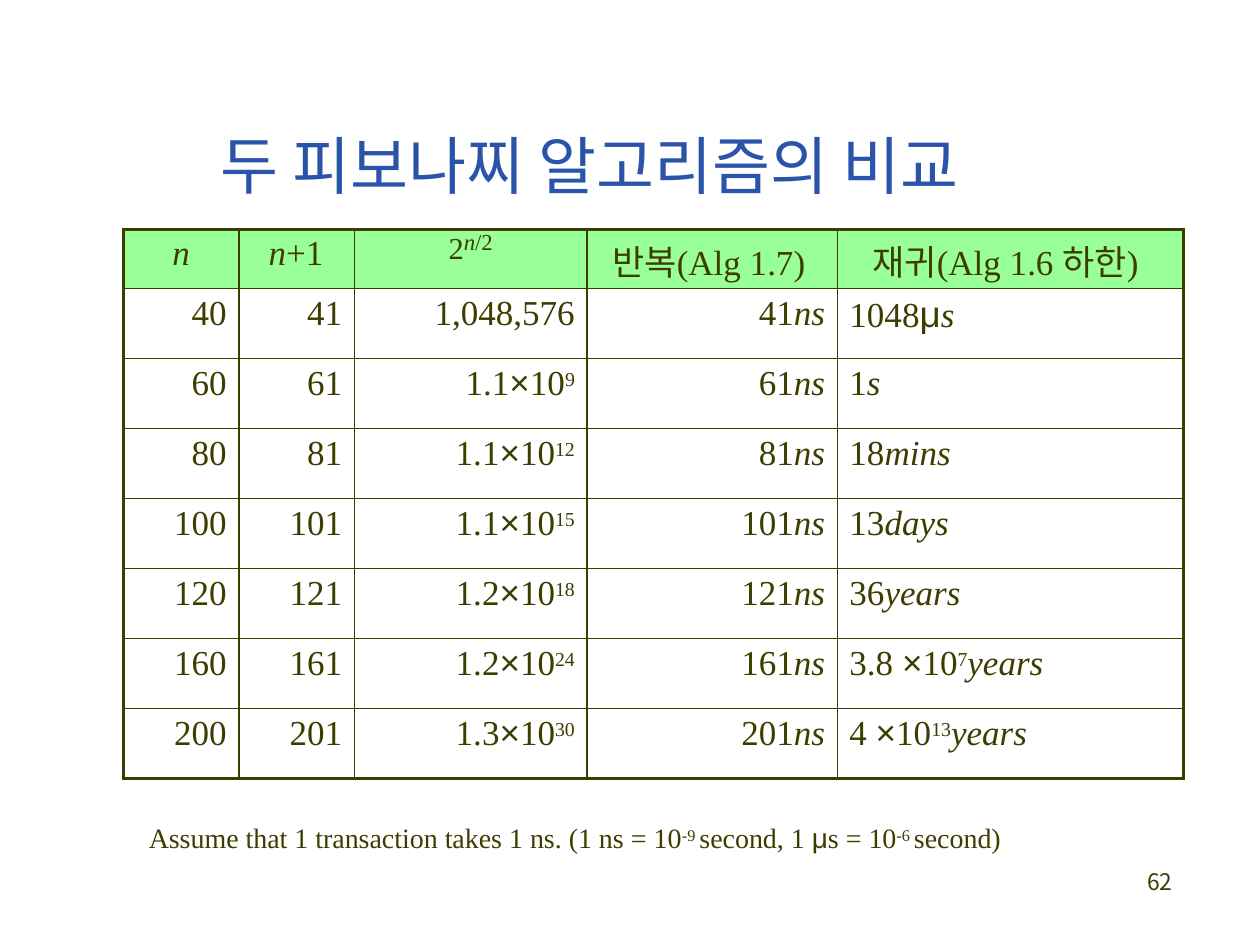
import pptx
import pptx.dml.color
import pptx.enum.text
import pptx.oxml
import pptx.oxml.ns
import pptx.util
import lxml.etree

Pt = pptx.util.Pt
ALIGN = pptx.enum.text.PP_ALIGN
SERIF = "Times New Roman"
KOREAN = "Noto Sans CJK KR"
OLIVE = "3E3D00"
BLUE = "2A54AA"
GREEN = "99FF99"


def color(value):
    return pptx.dml.color.RGBColor.from_string(value)


def add_runs(paragraph, runs, size=20, ink=OLIVE):
    """Each run is a text and a dict of what differs from plain serif."""
    for text, style in runs:
        run = paragraph.add_run()
        run.text = text
        run.font.size = Pt(style.get("size", size))
        run.font.name = style.get("font", SERIF)
        run.font.italic = style.get("italic", False)
        run.font.color.rgb = color(ink)
        properties = run._r.get_or_add_rPr()
        if "baseline" in style:
            properties.set("baseline", str(style["baseline"] * 1000))
        if style.get("font") == KOREAN:
            east_asian = lxml.etree.SubElement(properties, pptx.oxml.ns.qn("a:ea"))
            east_asian.set("typeface", KOREAN)


# Run styles
plain = {}
italic = {"italic": True}
korean = {"font": KOREAN}
symbol = {"font": "Arial"}
power = {"size": 19.5, "baseline": 26}
small_power = {"size": 16, "baseline": 26}

presentation = pptx.Presentation()
presentation.slide_width = Pt(720)
presentation.slide_height = Pt(540)
slide = presentation.slides.add_slide(presentation.slide_layouts[6])

# Title, footnote and page number: left, top, width, height, top inset, size, colour, runs
footnote = [
    ("Assume that 1 transaction takes 1 ns. (1 ns = 10", plain), ("-9 ", small_power),
    ("second, 1 ", plain), ("μ", symbol), ("s = 10", plain),
    ("-6 ", small_power), ("second)", plain),
]
text_boxes = [
    (126, 71.5, 470, 45, 1, 36, BLUE, [("두 피보나찌 알고리즘의 비교", korean)]),
    (85, 468, 505, 21, 1, 16, OLIVE, footnote),
    (655.5, 497, 21, 45, 0, 13, OLIVE, [("62", korean)]),
]
for left, top, width, height, inset, size, ink, runs in text_boxes:
    shape = slide.shapes.add_textbox(Pt(left), Pt(top), Pt(width), Pt(height))
    frame = shape.text_frame
    frame.word_wrap = True
    frame.margin_left = frame.margin_right = frame.margin_bottom = 0
    frame.margin_top = Pt(inset)
    paragraph = frame.paragraphs[0]
    if size == 13:
        paragraph.line_spacing = Pt(14.7)
    add_runs(paragraph, runs, size, ink)

# Table contents: header row, then one row per n
header = [
    [("n", italic)],
    [("n", italic), ("+1", plain)],
    [("2", {"size": 30, "baseline": -17}), ("n", {"size": 13, "italic": True}),
     ("/2", {"size": 13})],
    [("반복", korean), ("(Alg 1.7)", plain)],
    [("재귀", korean), ("(Alg 1.6 ", plain), ("하한", korean), (")", plain)],
]
measurements = [
    (40, "1,048,576", None, [("1048", plain), ("μ", {"font": "Arial", "size": 21}), ("s", italic)]),
    (60, "1.1", "9", [("1", plain), ("s", italic)]),
    (80, "1.1", "12", [("18", plain), ("mins", italic)]),
    (100, "1.1", "15", [("13", plain), ("days", italic)]),
    (120, "1.2", "18", [("36", plain), ("years", italic)]),
    (160, "1.2", "24", [("3.8 ", plain), ("×", symbol), ("10", plain), ("7", power), ("years", italic)]),
    (200, "1.3", "30", [("4 ", plain), ("×", symbol), ("10", plain), ("13", power), ("years", italic)]),
]
rows = [header]
for n, mantissa, exponent, recursive_time in measurements:
    steps = [(mantissa, plain)]
    if exponent:
        steps += [("×", symbol), ("10", plain), (exponent, power)]
    rows.append([
        [(str(n), plain)],
        [(str(n + 1), plain)],
        steps,
        [(str(n + 1), plain), ("ns", italic)],
        recursive_time,
    ])

# Table grid
column_widths = [66, 66, 133, 143, 198]
row_heights = [34] + [40] * len(measurements)
table = slide.shapes.add_table(
    len(rows), len(column_widths), Pt(70.5), Pt(131),
    Pt(sum(column_widths)), Pt(sum(row_heights))).table
table.first_row = False
table.horz_banding = False
for column, width in zip(table.columns, column_widths):
    column.width = Pt(width)
for row, height in zip(table.rows, row_heights):
    row.height = Pt(height)

header_indents = [0, 17, 0, 14.4, 20]
header_alignments = [ALIGN.CENTER, ALIGN.LEFT, ALIGN.CENTER, ALIGN.LEFT, ALIGN.LEFT]
last_row, last_column = len(rows) - 1, len(column_widths) - 1

for i, row in enumerate(rows):
    for j, runs in enumerate(row):
        cell = table.cell(i, j)
        paragraph = cell.text_frame.paragraphs[0]
        cell.margin_top = Pt(3)
        cell.margin_bottom = 0
        if i == 0:
            cell.margin_left, cell.margin_right = Pt(header_indents[j]), 0
            paragraph.alignment = header_alignments[j]
        else:
            cell.margin_left = cell.margin_right = Pt(7)
            paragraph.alignment = ALIGN.LEFT if j == last_column else ALIGN.RIGHT
        if i == 0 and j == 2:
            cell.margin_top = 0
            paragraph.line_spacing = Pt(20.9)
        add_runs(paragraph, runs)

        # Borders: thick around the table, thin inside
        properties = cell._tc.get_or_add_tcPr()
        outer_edges = {"L": j == 0, "R": j == last_column, "T": i == 0, "B": i == last_row}
        for side, is_outer in outer_edges.items():
            width = Pt(2.25 if is_outer else 1)
            properties.append(pptx.oxml.parse_xml(
                f'<a:ln{side} {pptx.oxml.ns.nsdecls("a")} w="{width}"><a:solidFill>'
                f'<a:srgbClr val="{OLIVE}"/></a:solidFill></a:ln{side}>'))

        # Fill
        if i == 0:
            cell.fill.solid()
            cell.fill.fore_color.rgb = color(GREEN)
        else:
            cell.fill.background()

presentation.save("out.pptx")
